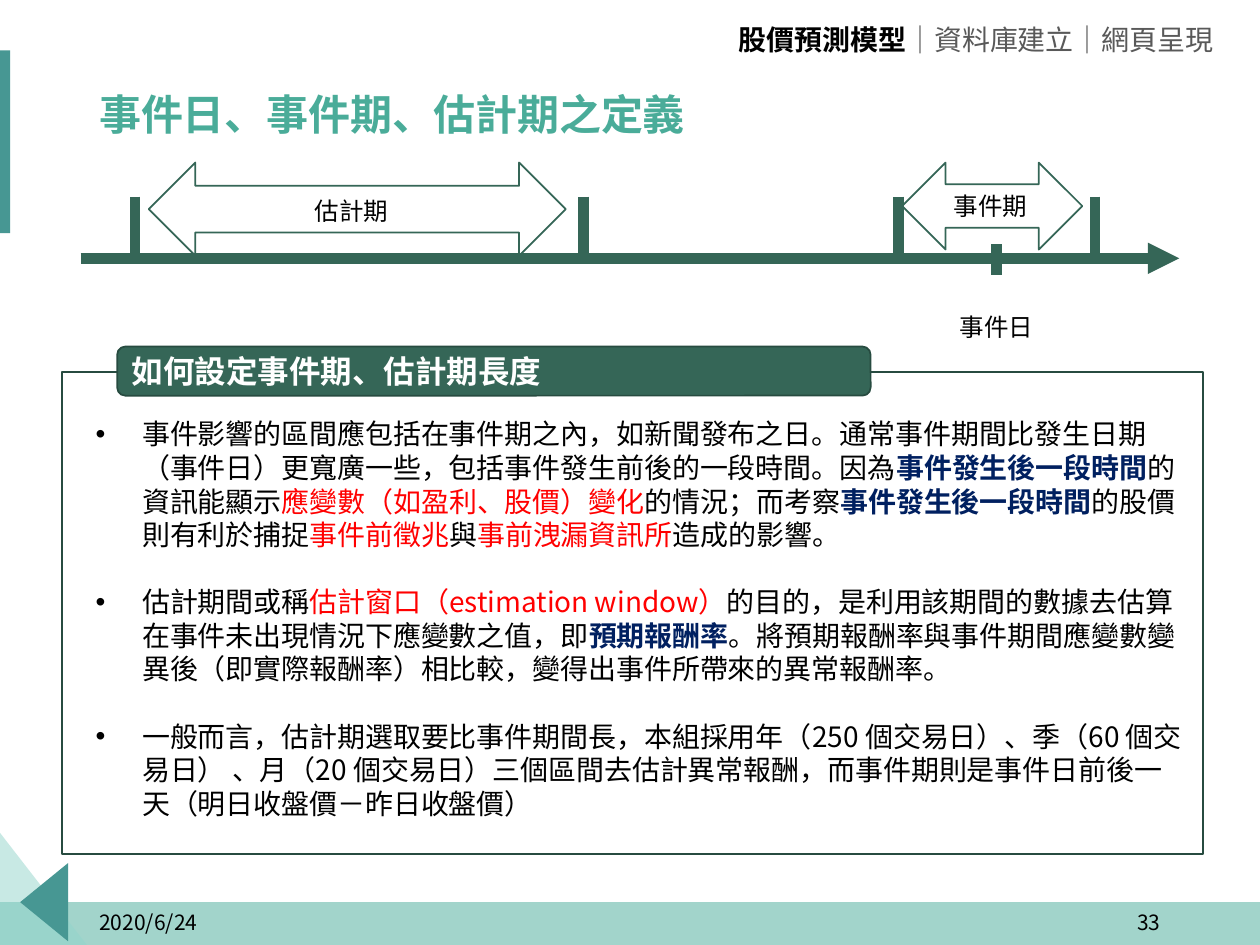
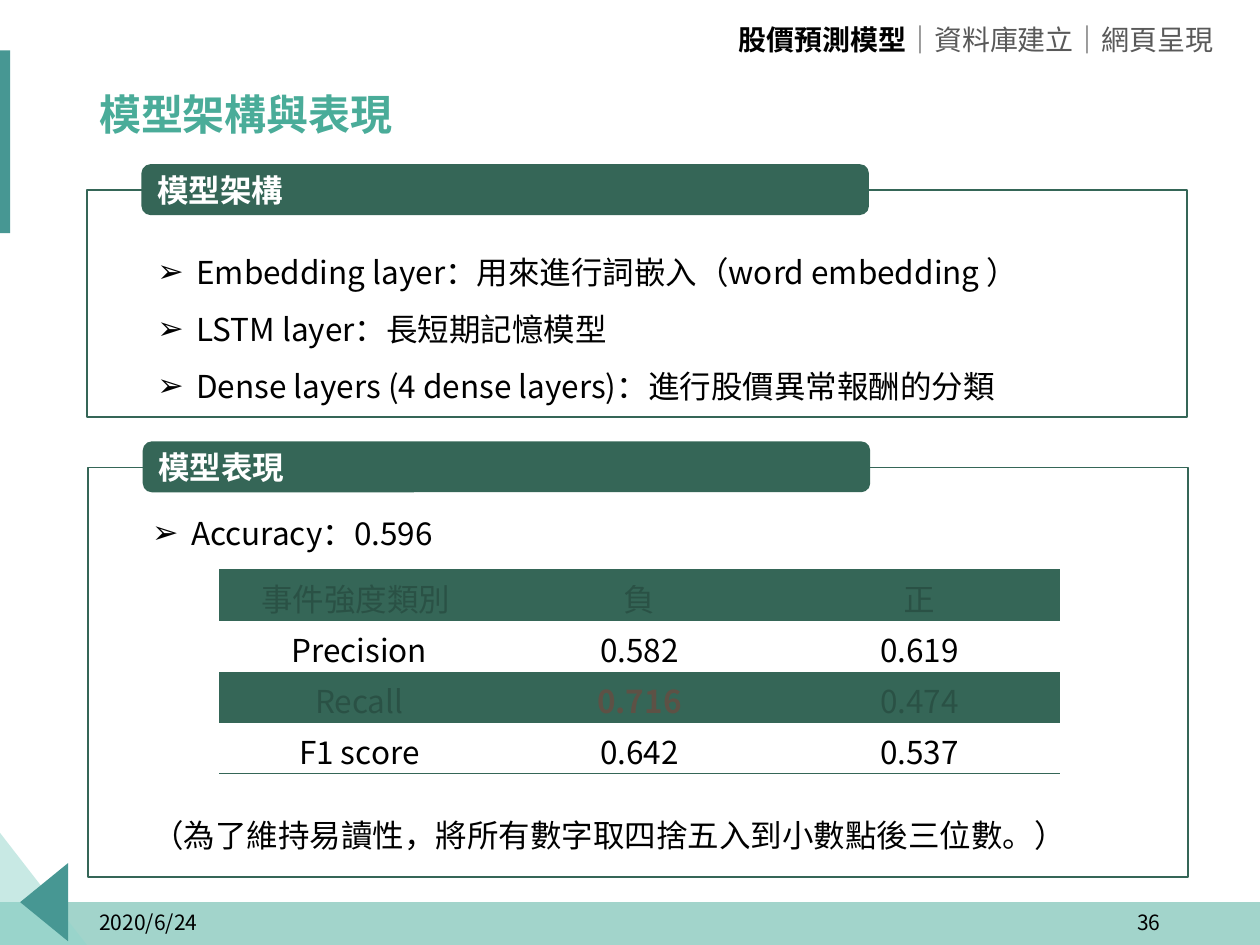
from dataclasses import dataclass

from lxml import etree
from pptx import Presentation
from pptx.dml.color import RGBColor
from pptx.enum import shapes, text
from pptx.oxml import ns
from pptx.util import Inches, Pt

# The slide is a grid of 100 columns by 75 rows
COLUMNS, ROWS = 100, 75
WIDTH, HEIGHT = Inches(10), Inches(7.5)
LINE_HEIGHT = 1.2

TC, SC = "Noto Sans CJK TC", "Noto Sans CJK SC"
BLACK = RGBColor(0x00, 0x00, 0x00)
WHITE = RGBColor(0xFF, 0xFF, 0xFF)
GREY = RGBColor(0x59, 0x59, 0x59)
RED = RGBColor(0xFF, 0x00, 0x00)
NAVY = RGBColor(0x00, 0x20, 0x60)
MINT = RGBColor(0x4A, 0xAC, 0x99)
PALE = RGBColor(0x92, 0xD4, 0xCB)
TEAL = RGBColor(0x47, 0x97, 0x93)
PINE = RGBColor(0x35, 0x66, 0x57)
DEEP_PINE = RGBColor(0x27, 0x4B, 0x40)

LEFT, CENTER, RIGHT = text.PP_ALIGN.LEFT, text.PP_ALIGN.CENTER, text.PP_ALIGN.RIGHT
SHAPE = shapes.MSO_SHAPE


@dataclass
class Box:
    """An area of the slide, in grid columns and rows."""
    left: float
    top: float
    width: float
    height: float

    def inside(self, column, row, width, height):
        return Box(self.left + column, self.top + row, width, height)

    def emu(self):
        return (x(self.left), y(self.top), x(self.width), y(self.height))


def x(columns):
    return round(columns * WIDTH / COLUMNS)


def y(rows):
    return round(rows * HEIGHT / ROWS)


# ---- Drawing helpers ----
def child(parent, tag, **attributes):
    return etree.SubElement(parent, ns.qn(tag), attributes)


def paint(shape, fill=None, edge=None, alpha=100):
    shape.shadow.inherit = False
    if fill is None:
        shape.fill.background()
    else:
        shape.fill.solid()
        shape.fill.fore_color.rgb = fill
        fade(shape._element, alpha)
    if edge is None:
        shape.line.fill.background()
    else:
        shape.line.color.rgb = edge
        shape.line.width = Pt(1)


def fade(element, alpha):
    if alpha < 100:
        color = element.xpath(".//a:solidFill/a:srgbClr")[0]
        child(color, "a:alpha", val=str(alpha * 1000))


def add_block(slide, kind, box, **colors):
    block = slide.shapes.add_shape(kind, *box.emu())
    paint(block, **colors)
    return block


def add_triangle(slide, corners, **colors):
    points = [(x(column), y(row)) for column, row in corners]
    builder = slide.shapes.build_freeform(*points[0], scale=1.0)
    builder.add_line_segments(points[1:], close=True)
    paint(builder.convert_to_shape(), **colors)


def add_rule(slide, start, end, arrow=False):
    rule = slide.shapes.add_connector(
        shapes.MSO_CONNECTOR.STRAIGHT, x(start[0]), y(start[1]), x(end[0]), y(end[1]))
    rule.line.color.rgb = PINE
    rule.line.width = Pt(6)
    if arrow:
        child(rule.line._get_or_add_ln(), "a:tailEnd", type="triangle")
    child(rule._element.spPr, "a:effectLst")


def write(paragraph, runs, size, align=LEFT, spacing=1):
    """Each run is (words, colour, bold, face); the last three may be left out."""
    paragraph.alignment = align
    paragraph.line_spacing = Pt(round(size * LINE_HEIGHT * spacing, 1))
    for words, color, bold, face in (run + (BLACK, False, TC)[len(run) - 1:] for run in runs):
        run = paragraph.add_run()
        run.text = words
        run.font.size = Pt(size)
        run.font.bold = bold
        run.font.color.rgb = color
        run.font.name = face
        child(run._r.get_or_add_rPr(), "a:ea", typeface=face)


def add_words(slide, box, runs, size, align=LEFT, anchor=text.MSO_ANCHOR.TOP, wrap=True):
    words = slide.shapes.add_textbox(*box.emu())
    frame = words.text_frame
    frame.word_wrap = wrap
    frame.vertical_anchor = anchor
    write(frame.paragraphs[0], runs, size, align)
    return words


def add_bullets(slide, box, items, size, mark, indent, spacing=1, gap=0):
    frame = slide.shapes.add_textbox(*box.emu()).text_frame
    frame.word_wrap = True
    for number, runs in enumerate(items):
        paragraph = frame.add_paragraph() if number else frame.paragraphs[0]
        write(paragraph, runs, size, spacing=spacing)
        if number:
            paragraph.space_before = Pt(gap)
        properties = paragraph._p.get_or_add_pPr()
        properties.set("marL", str(Inches(indent)))
        properties.set("indent", str(-Inches(indent)))
        child(properties, "a:buFont", typeface="Arial")
        child(properties, "a:buChar", char=mark)
    return frame


# ---- Parts that both slides share ----
def add_frame(deck, title, title_face, number):
    slide = deck.slides.add_slide(deck.slide_layouts[6])
    middle = text.MSO_ANCHOR.MIDDLE
    # Bottom band, corner triangles and side bar
    add_block(slide, SHAPE.RECTANGLE, Box(0, 71.6, 100, 3.4), fill=MINT, alpha=51)
    add_triangle(slide, [(0, 66.1), (6.9, 75), (0, 75)], fill=PALE, alpha=50)
    add_triangle(slide, [(5.4, 68.5), (5.4, 74.7), (1.6, 71.6)], fill=TEAL)
    add_block(slide, SHAPE.RECTANGLE, Box(-0.8, 4, 1.6, 14.5), fill=TEAL)
    # Title
    heading = add_words(slide, Box(6.9, 5.7, 86.2, 6.6),
                        [(title, MINT, True, title_face)], 24, anchor=middle)
    heading.text_frame.paragraphs[0].runs[0].font._element.set("spc", "-10")
    # Date and page number
    footer = Box(6.9, 71.2, 86.2, 4)
    add_words(slide, footer.inside(0, 0, 22.5, 4), [("2020/6/24",)], 12, anchor=middle)
    add_words(slide, footer.inside(63.7, 0, 22.5, 4), [(str(number),)], 12, RIGHT, middle)
    return slide


def add_chapters(slide, box):
    bar = ("｜", GREY, False, SC)
    chapters = [("股價預測模型", BLACK, True), bar, ("資料庫建立", GREY), bar, ("網頁呈現", GREY)]
    words = add_words(slide, box, chapters, 16, RIGHT, wrap=False)
    words.text_frame.auto_size = text.MSO_AUTO_SIZE.SHAPE_TO_FIT_TEXT


def add_panel(slide, box, heading, tab_width, edge=PINE):
    """An outlined area with a heading tab on its upper edge."""
    add_block(slide, SHAPE.RECTANGLE, box, edge=edge)
    tab = add_block(slide, SHAPE.ROUNDED_RECTANGLE, box.inside(4.4, -2, tab_width, 3.9),
                    fill=PINE, edge=edge)
    tab.text_frame.vertical_anchor = text.MSO_ANCHOR.MIDDLE
    write(tab.text_frame.paragraphs[0], [(heading, WHITE, True)], 18)


# ---- Slide regions ----
def add_timeline(slide, box):
    axis = box.top + 7.6
    add_rule(slide, (box.left, axis), (box.left + box.width, axis), arrow=True)
    # Limits of the two periods, then the event day
    for limit in (4.3, 39.9, 64.9, 80.5):
        add_rule(slide, (box.left + limit, axis - 4.9), (box.left + limit, axis))
    event_day = box.left + 72.7
    add_rule(slide, (event_day, axis - 1.1), (event_day, axis + 1.3))
    # Period arrows and labels
    add_block(slide, SHAPE.LEFT_RIGHT_ARROW, box.inside(5.4, 0, 33.1, 7.4), edge=PINE)
    add_words(slide, box.inside(17.6, 2.2, 9.6, 3.4), [("估計期",)], 14)
    add_words(slide, box.inside(68.3, 1.8, 16, 3.4), [("事件期",)], 14)
    add_words(slide, box.inside(62.7, 11.4, 20, 3.4), [("事件日",)], 14, CENTER)
    add_block(slide, SHAPE.LEFT_RIGHT_ARROW, box.inside(65.2, 0, 14.3, 6.9), edge=PINE)


def add_scores(slide, box):
    scores = [("事件強度類別 ", "負", "正"),
              ("Precision", "0.582", "0.619"),
              ("Recall", "0.716", "0.474"),
              ("F1 score", "0.642", "0.537")]
    best = "0.716"
    holder = slide.shapes.add_table(len(scores), len(scores[0]), *box.emu())
    table = holder.table
    table.first_row = table.horz_banding = False
    holder._element.xpath(".//a:tableStyleId")[0].text = "{2D5ABB26-0587-4C30-8999-92F81FD0307C}"
    for row, values in enumerate(scores):
        for column, value in enumerate(values):
            cell = table.cell(row, column)
            cell.margin_top = cell.margin_bottom = 0
            cell.vertical_anchor = text.MSO_ANCHOR.BOTTOM
            run = (value, RED, True) if value == best else (value,)
            write(cell.text_frame.paragraphs[0], [run], 18, CENTER)
            if row % 2 == 0:
                cell.fill.solid()
                cell.fill.fore_color.rgb = PINE
                fade(cell._tc, 20)
            else:
                cell.fill.background()
            if row == 0:
                add_border(cell, "a:lnT")
            elif row == len(scores) - 1:
                add_border(cell, "a:lnB")


def add_border(cell, side):
    properties = cell._tc.get_or_add_tcPr()
    border = child(properties, side, w=str(Pt(1)))
    child(child(border, "a:solidFill"), "a:srgbClr", val=str(PINE))
    properties.insert(0, border)


# ---- Slides ----
def build_definitions(deck):
    slide = add_frame(deck, "事件日、事件期、估計期之定義", TC, 33)
    add_timeline(slide, Box(6.4, 12.9, 87.2, 14.8))
    panel = Box(4.9, 29.5, 90.6, 38.3)
    add_panel(slide, panel, "如何設定事件期、估計期長度", 59.8, DEEP_PINE)
    after_event = ("事件發生後一段時間", NAVY, True)
    rules = [
        [("事件影響的區間應包括在事件期之內，如新聞發布之日。通常事件期間比發生日期"
          "（事件日）更寬廣一些，包括事件發生前後的一段時間。因為",),
         after_event, ("的資訊能顯示",),
         ("應變數（如盈利、股價）變化", RED), ("的情況；而考察",),
         after_event, ("的股價則有利於捕捉",),
         ("事件前徵兆", RED), ("與",), ("事前洩漏資訊所", RED), ("造成的影響。",)],
        [("估計期間或稱",), ("估計窗口（estimation window）", RED),
         ("的目的，是利用該期間的數據去估算在事件未出現情況下應變數之值，即",),
         ("預期報酬率", NAVY, True),
         ("。將預期報酬率與事件期間應變數變異後（即實際報酬率）相比較，"
          "變得出事件所帶來的異常報酬率。",)],
        [("一般而言，估計期選取要比事件期間長，本組採用年（250 個交易日）、季（60 個交易日）"
          " 、月（20 個交易日）三個區間去估計異常報酬，而事件期則是事件日前後一天"
          "（明日收盤價－昨日收盤價）",)],
    ]
    add_bullets(slide, panel.inside(1.7, 3.1, 88.5, 36.4), rules, 16, "•", 0.37,
                gap=16 * LINE_HEIGHT)
    add_chapters(slide, Box(57.1, 1.3, 40.2, 3.7))


def build_model(deck):
    slide = add_frame(deck, "模型架構與表現", SC, 36)
    add_chapters(slide, Box(57.1, 1.3, 40.2, 3.7))
    structure = Box(6.9, 15.1, 87.3, 18)
    results = Box(7, 37.1, 87.3, 32.5)
    add_panel(slide, structure, "模型架構", 57.6)
    add_panel(slide, results, "模型表現", 57.6)
    layers = [[("Embedding layer：用來進行詞嵌入（word embedding ）",)],
              [("LSTM layer：長短期記憶模型",)],
              [("Dense layers (4 dense layers)：進行股價異常報酬的分類",)]]
    add_bullets(slide, structure.inside(4.6, 3, 81.8, 14.1), layers, 18, "➢", 0.31, spacing=1.5)
    # Accuracy above the table, rounding note below it
    frame = add_bullets(slide, results.inside(4.1, 3.2, 81.8, 31.3),
                        [[("Accuracy：0.596",)]], 18, "➢", 0.31)
    note = frame.add_paragraph()
    write(note, [("（為了維持易讀性，將所有數字取四捨五入到小數點後三位數。）",)], 18)
    note.space_before = Pt(7 * 18 * LINE_HEIGHT)
    add_scores(slide, results.inside(10.4, 8.1, 66.7, 16.2))


def main():
    deck = Presentation()
    deck.slide_width, deck.slide_height = WIDTH, HEIGHT
    build_definitions(deck)
    build_model(deck)
    deck.save("out.pptx")


if __name__ == "__main__":
    main()
